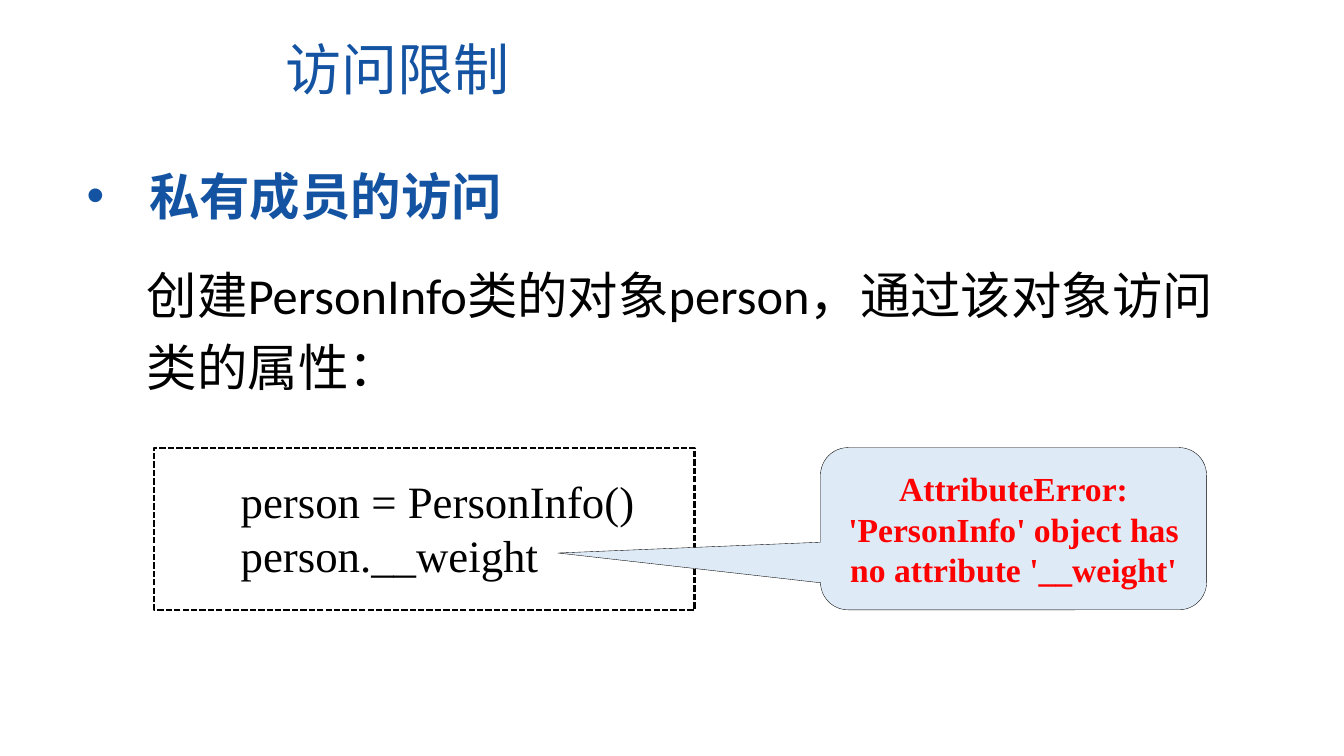
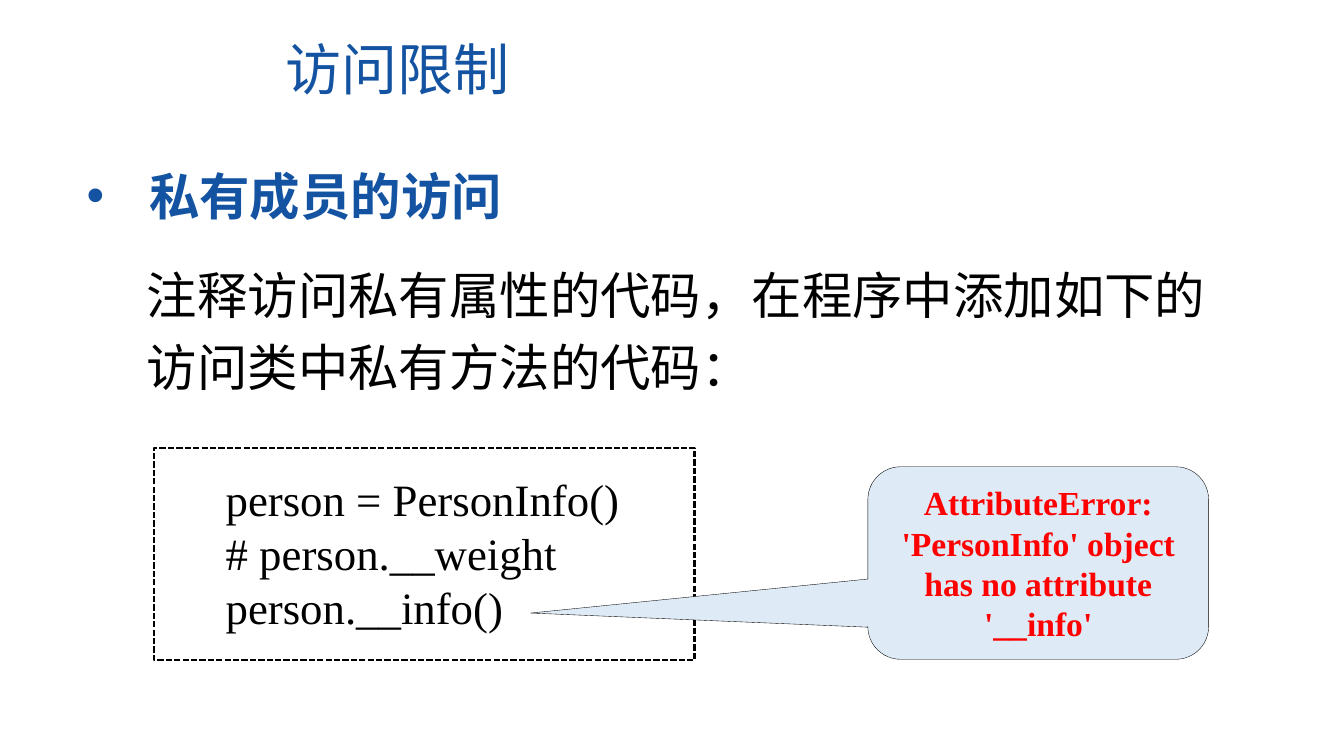
import pptx
import pptx.util
import pptx.dml.color
import pptx.enum.dml
import pptx.enum.shapes
import pptx.enum.text
import pptx.oxml
import pptx.oxml.ns

Pt = pptx.util.Pt
RGBColor = pptx.dml.color.RGBColor
Align = pptx.enum.text.PP_ALIGN
Anchor = pptx.enum.text.MSO_ANCHOR
Shapes = pptx.enum.shapes.MSO_SHAPE

BLUE = RGBColor(0x13, 0x53, 0xA2)
BLACK = RGBColor(0x00, 0x00, 0x00)
RED = RGBColor(0xFF, 0x00, 0x00)
PALE_BLUE = RGBColor(0xDE, 0xEB, 0xF7)

CHINESE_FONT = "Noto Sans CJK SC"
BODY_FONT = "Calibri"
CODE_FONT = "Times New Roman"

FRAME = {"word_wrap": True, "auto_size": pptx.enum.text.MSO_AUTO_SIZE.NONE}
MIDDLE_FRAME = {**FRAME, "vertical_anchor": Anchor.MIDDLE}
TOP_FRAME = {**FRAME, "vertical_anchor": Anchor.TOP}
LEFT = {"alignment": Align.LEFT, "space_before": Pt(0)}
CENTRED = {"alignment": Align.CENTER}
SPACED = {**LEFT, "line_spacing": 1.2}

TITLE_FONT = {"name": CHINESE_FONT, "size": Pt(40), "bold": False}
HEADING_FONT = {"name": CHINESE_FONT, "size": Pt(36), "bold": True}
EXPLANATION_FONT = {"name": BODY_FONT, "size": Pt(36)}
CODE_TEXT_FONT = {"name": CODE_FONT, "size": Pt(32)}
ERROR_FONT = {"name": CODE_FONT, "size": Pt(24), "bold": True}

TITLE = "访问限制"
HEADING = "私有成员的访问"
TITLE_AREA = (196.6, 20.9, 423.4, 55.4)
HEADING_AREA = (54.7, 113.8, 576, 51.1)
EXPLANATION_AREA = (97.9, 176.4, 792, 112.3)
HEADING_INDENT = Pt(44.64)

PAGES = [
    {
        "explanation": "创建PersonInfo类的对象person，通过该对象访问类的属性：",
        "code": "person = PersonInfo()\nperson.__weight",
        "frame_area": (110.2, 319.7, 385.9, 115.9),
        "code_area": (164.9, 334.8, 298.1, 85),
        "error": "AttributeError: 'PersonInfo' object has no attribute '__weight'",
        "error_area": (586.1, 319.7, 275.8, 115.9),
        "pointer": (-1.18, 0.15, 0.17),
    },
    {
        "explanation": "注释访问私有属性的代码，在程序中添加如下的访问类中私有方法的代码：",
        "code": "person = PersonInfo()\n# person.__weight\nperson.__info()",
        "frame_area": (110.2, 319.7, 385.9, 151.9),
        "code_area": (154.1, 333.4, 298.1, 123.8),
        "error": "AttributeError: 'PersonInfo' object has no attribute '__info'",
        "error_area": (619.9, 333.4, 243.4, 137.5),
        "pointer": (-1.49, 0.26, 0.17),
    },
]


def apply_format(target, values):
    for name, value in values.items():
        setattr(target, name, value)


def points(area):
    return [Pt(length) for length in area]


def place(shape, area):
    apply_format(shape, dict(zip(("left", "top", "width", "height"), points(area))))


def set_east_asian_font(span, name):
    properties = span.font._element
    font = pptx.oxml.parse_xml(
        f'<a:ea {pptx.oxml.ns.nsdecls("a")} typeface="{name}"/>'
    )
    properties.append(font)


def write_text(shape, text, font, color, para_format, frame_format):
    frame = shape.text_frame
    frame.text = text
    apply_format(frame, frame_format)
    for para in frame.paragraphs:
        apply_format(para, para_format)
        for span in para.runs:
            apply_format(span.font, font)
            span.font.color.rgb = color
            set_east_asian_font(span, font["name"])


def add_title(page):
    title = page.shapes.title
    place(title, TITLE_AREA)
    write_text(title, TITLE, TITLE_FONT, BLUE, LEFT, MIDDLE_FRAME)


def add_heading(page):
    heading = page.placeholders[1]
    place(heading, HEADING_AREA)
    write_text(heading, HEADING, HEADING_FONT, BLUE, LEFT, MIDDLE_FRAME)
    properties = heading.text_frame.paragraphs[0]._p.get_or_add_pPr()
    properties.set("marL", str(HEADING_INDENT))
    properties.set("indent", str(-HEADING_INDENT))


def add_text(page, text, area, font, para_format):
    box = page.shapes.add_textbox(*points(area))
    write_text(box, text, font, BLACK, para_format, TOP_FRAME)


def add_outlined_shape(page, kind, area, line_format):
    shape = page.shapes.add_shape(kind, *points(area))
    shape.shadow.inherit = False
    shape.line.color.rgb = BLACK
    apply_format(shape.line, line_format)
    return shape


def add_code_frame(page, area):
    dashed = {
        "width": Pt(1.5),
        "dash_style": pptx.enum.dml.MSO_LINE.SQUARE_DOT,
    }
    frame = add_outlined_shape(page, Shapes.RECTANGLE, area, dashed)
    frame.fill.background()


def add_error_callout(page, text, area, pointer):
    callout = add_outlined_shape(
        page, Shapes.ROUNDED_RECTANGULAR_CALLOUT, area, {"width": Pt(0.25)}
    )
    for index, value in enumerate(pointer):
        callout.adjustments[index] = value
    callout.fill.solid()
    callout.fill.fore_color.rgb = PALE_BLUE
    write_text(callout, text, ERROR_FONT, RED, CENTRED, MIDDLE_FRAME)


def add_page(deck, content):
    page = deck.slides.add_slide(deck.slide_layouts[1])
    add_title(page)
    add_heading(page)
    add_text(page, content["explanation"], EXPLANATION_AREA, EXPLANATION_FONT, SPACED)
    add_code_frame(page, content["frame_area"])
    add_text(page, content["code"], content["code_area"], CODE_TEXT_FONT, LEFT)
    add_error_callout(
        page, content["error"], content["error_area"], content["pointer"]
    )


def main():
    deck = pptx.Presentation()
    apply_format(deck, {"slide_width": Pt(960), "slide_height": Pt(540)})
    for content in PAGES:
        add_page(deck, content)
    deck.save("out.pptx")


main()
